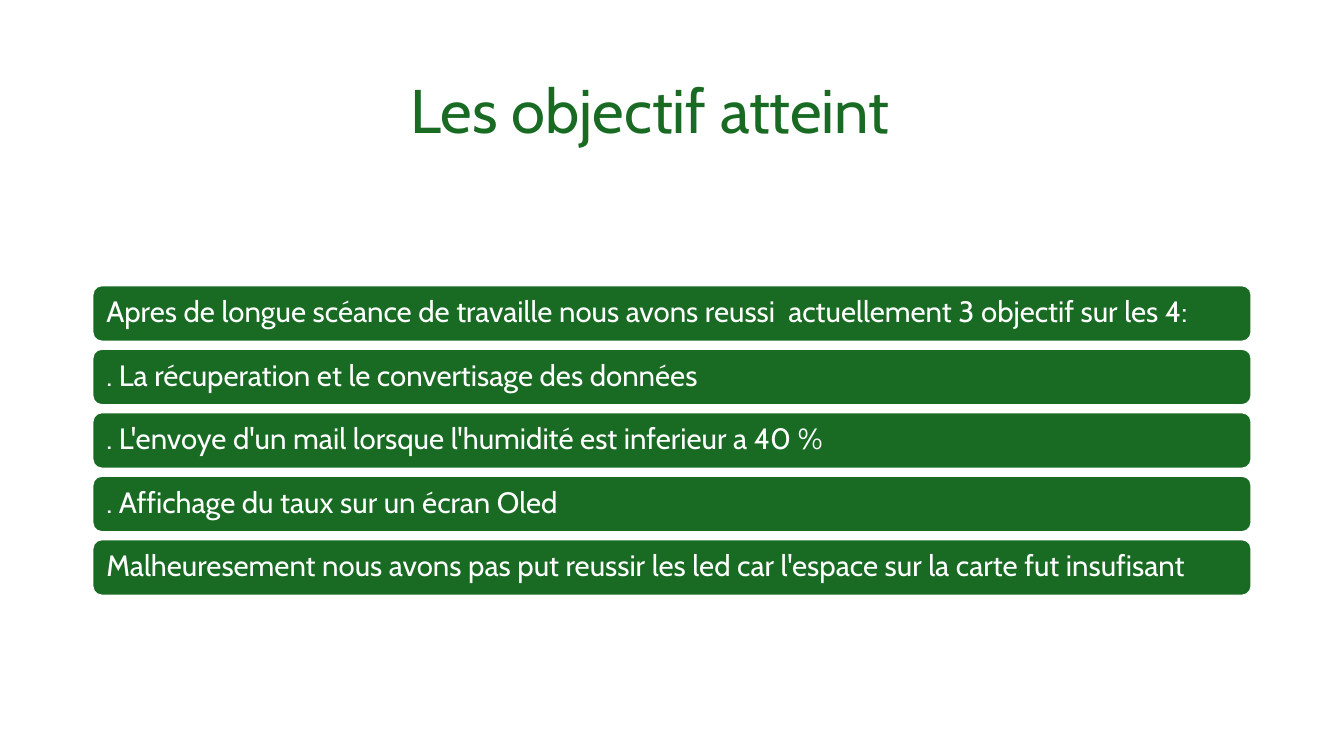
from pptx import Presentation
from pptx.dml.color import RGBColor
from pptx.enum.shapes import MSO_SHAPE
from pptx.enum.text import MSO_ANCHOR, MSO_AUTO_SIZE, PP_ALIGN
from pptx.util import Cm, Pt

COLORS = {"green": "196B24", "white": "FFFFFF"}
LEFT, WIDTH = 2.33, 29.21
BARS_TOP, BAR_HEIGHT, BAR_PITCH = 7.19, 1.42, 1.6
OBJECTIVES = [
    "Apres de longue scéance de travaille nous avons reussi  actuellement 3 objectif sur les 4:",
    ". La récuperation et le convertisage des données",
    ". L'envoye d'un mail lorsque l'humidité est inferieur a 40 %",
    ". Affichage du taux sur un écran Oled",
    "Malheuresement nous avons pas put reussir les led car l'espace sur la carte fut insufisant",
]


class SlideBuilder:
    """Holds the slide and its text style, and adds the title and bars."""

    def __init__(self, prs):
        self.s = prs.slides.add_slide(prs.slide_layouts[5])
        self.font = "Cabin"

    def color(self, name):
        return RGBColor.from_string(COLORS[name])

    def add_text(self, sp, text, size, color, inset):
        tf = sp.text_frame
        tf.word_wrap = True
        tf.auto_size = MSO_AUTO_SIZE.NONE
        tf.vertical_anchor = MSO_ANCHOR.MIDDLE
        tf.margin_left = Cm(inset)
        p = tf.paragraphs[0]
        p.alignment = PP_ALIGN.LEFT
        p.line_spacing = 0.9
        r = p.add_run()
        r.text = text
        r.font.name = self.font
        r.font.size = Pt(size)
        r.font.color.rgb = self.color(color)

    def title(self, text):
        sp = self.s.shapes.title
        sp.left, sp.top, sp.width, sp.height = Cm(LEFT), Cm(1.01), Cm(WIDTH), Cm(3.68)
        self.add_text(sp, text, 44, "green", 8.01)

    def bar(self, text, top):
        sp = self.s.shapes.add_shape(
            MSO_SHAPE.ROUNDED_RECTANGLE, Cm(LEFT), Cm(top), Cm(WIDTH), Cm(BAR_HEIGHT))
        sp.shadow.inherit = False
        sp.fill.solid()
        sp.fill.fore_color.rgb = self.color("green")
        sp.line.color.rgb = self.color("white")
        sp.line.width = Pt(1.5)
        self.add_text(sp, text, 21, "white", 0.28)


def main():
    prs = Presentation()
    prs.slide_width, prs.slide_height = Cm(33.87), Cm(19.05)
    builder = SlideBuilder(prs)
    builder.title("Les objectif atteint")
    for i, text in enumerate(OBJECTIVES):
        builder.bar(text, BARS_TOP + i * BAR_PITCH)
    prs.save("out.pptx")


if __name__ == "__main__":
    main()
